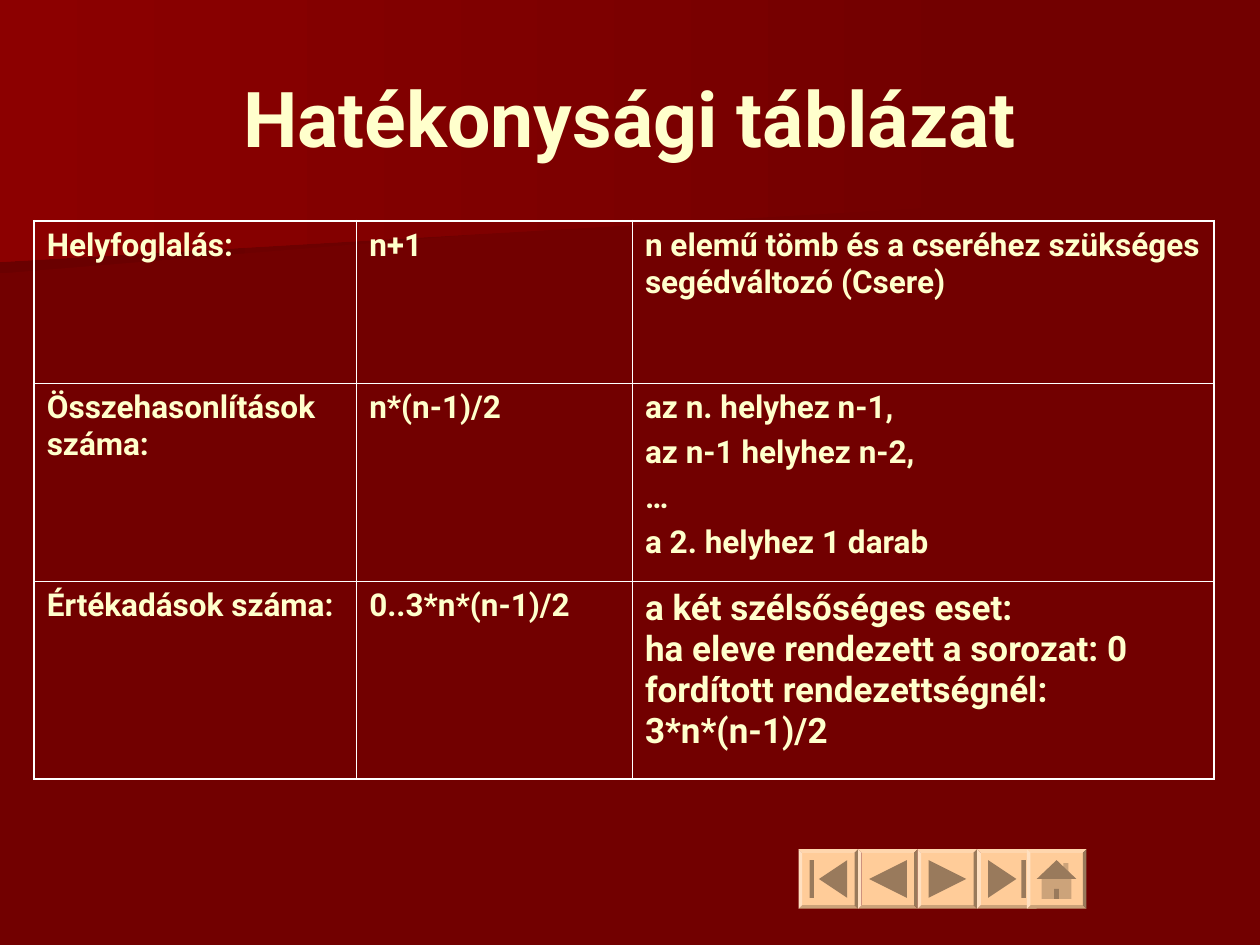
import pptx
import pptx.util
import pptx.dml.color
import pptx.enum.shapes
import pptx.enum.text
import pptx.oxml
import pptx.oxml.ns

Cm = pptx.util.Cm
Pt = pptx.util.Pt

HUES = {
    "back": "720000", "deep": "6A0000", "glow": "8C0000", "text": "FFFFCC",
    "rule": "FFFFFF", "key": "FFCC99", "sign": "997A5C", "wall": "CCA37A",
}
TITLE = {"name": "Roboto", "size": Pt(44), "bold": True}
BODY = {"name": "Roboto", "size": Pt(18), "bold": True}
LARGE = BODY | {"size": Pt(20)}

COLS = [6.5, 5.56, 11.73]
ROWS = [3.28, 3.99, 3.99]
CELLS = [
    ["Helyfoglalás:", "n+1",
     "n elemű tömb és a cseréhez szükséges segédváltozó (Csere)"],
    ["Összehasonlítások száma:", "n*(n-1)/2",
     "az n. helyhez n-1,\naz n-1 helyhez n-2,\n…\na 2. helyhez 1 darab"],
    ["Értékadások száma:", "0..3*n*(n-1)/2",
     "a két szélsőséges eset:\vha eleve rendezett a sorozat: 0\v"
     "fordított rendezettségnél:\v3*n*(n-1)/2"],
]
THICK, THIN = 1.08, 0.45
KEY = 1.2


def hue(name):
    return pptx.dml.color.RGBColor.from_string(HUES[name])


def box(left, top, right, low):
    return [(left, top), (right, top), (right, low), (left, low)]


def flip(paths):
    """Mirror a button sign from left to right."""
    return [[(KEY - x, y) for x, y in path] for path in paths]


class Deck:
    def __init__(self):
        self.prs = pptx.Presentation()
        self.prs.slide_width, self.prs.slide_height = Cm(25.4), Cm(19.05)
        self.slide = self.prs.slides.add_slide(self.prs.slide_layouts[5])
        self.shapes = self.slide.shapes
        fill = self.slide.background.fill
        fill.solid()
        fill.fore_color.rgb = hue("back")

    def font(self, font, style):
        for name, value in style.items():
            setattr(font, name, value)
        font.color.rgb = hue("text")

    def paint(self, shape, *names):
        """Fill with one colour, or with a gradient between two."""
        shape.shadow.inherit = False
        shape.line.fill.background()
        if len(names) == 1:
            shape.fill.solid()
            shape.fill.fore_color.rgb = hue(names[0])
            return
        shape.fill.gradient()
        shape.fill.gradient_angle = 180
        for stop, name, pos in zip(shape.fill.gradient_stops, names, (0, 1)):
            stop.color.rgb = hue(name)
            stop.position = pos

    def poly(self, paths, *names, left=0, top=0):
        spots = [[(Cm(left + x), Cm(top + y)) for x, y in path] for path in paths]
        form = self.shapes.build_freeform(*spots[0][0])
        for i, path in enumerate(spots):
            if i:
                form.move_to(*path[0])
            form.add_line_segments(path[1:], close=True)
        self.paint(form.convert_to_shape(), *names)

    def title(self, text, left, top, width, height):
        shape = self.shapes.title
        spot = {"left": left, "top": top, "width": width, "height": height}
        for name, value in spot.items():
            setattr(shape, name, Cm(value))
        frame = shape.text_frame
        frame.text = text
        frame.word_wrap = True
        frame.auto_size = pptx.enum.text.MSO_AUTO_SIZE.NONE
        frame.vertical_anchor = pptx.enum.text.MSO_ANCHOR.MIDDLE
        para = frame.paragraphs[0]
        para.alignment = pptx.enum.text.PP_ALIGN.CENTER
        self.font(para.font, TITLE)
        # Bring the title in front of the backdrop.
        self.shapes.element.append(shape.element)

    def edge(self, cell, sides):
        props = cell._tc.get_or_add_tcPr()
        for i, (side, width) in enumerate(sides.items()):
            props.insert(i, pptx.oxml.parse_xml(
                f'<a:ln{side} {pptx.oxml.ns.nsdecls("a")} w="{Pt(width)}">'
                f'<a:solidFill><a:srgbClr val="{HUES["rule"]}"/></a:solidFill>'
                f'</a:ln{side}>'))

    def table(self, left, top):
        rows, cols = len(ROWS), len(COLS)
        grid = self.shapes.add_table(rows, cols, Cm(left), Cm(top),
                                     Cm(sum(COLS)), Cm(sum(ROWS))).table
        grid.first_row = grid.horz_banding = False
        for col, width in zip(grid.columns, COLS):
            col.width = Cm(width)
        for r, height in enumerate(ROWS):
            grid.rows[r].height = Cm(height)
            for c, text in enumerate(CELLS[r]):
                cell = grid.cell(r, c)
                cell.fill.background()
                cell.text = text
                last = r == rows - 1 and c == cols - 1
                for i, para in enumerate(cell.text_frame.paragraphs):
                    if i:
                        para.space_before = Pt(4.5)
                    for run in para.runs:
                        self.font(run.font, LARGE if last else BODY)
                self.edge(cell, {
                    "L": THIN if c else THICK,
                    "R": THICK if c == cols - 1 else THIN,
                    "T": THIN if r else THICK,
                    "B": THICK if r == rows - 1 else THIN,
                })

    def key(self, left, top, signs):
        """Draw a raised button with its sign."""
        shape = self.shapes.add_shape(pptx.enum.shapes.MSO_SHAPE.BEVEL,
                                      Cm(left), Cm(top), Cm(KEY), Cm(KEY))
        shape.adjustments[0] = 0.06
        self.paint(shape, "key")
        for paths, name in signs:
            self.poly(paths, name, left=left, top=top)


def main():
    deck = Deck()
    deck.poly([[(19.76, 3.89), (0, 5.51), (0, 2.57), (19.79, 2.57), (19.79, 3.25)]],
              "back", "deep")
    deck.poly([[(20.12, 4.11), (0, 5.28), (0, 0), (20.12, 0)]], "back", "glow")

    prev = [[(0.22, 0.6), (0.98, 0.22), (0.98, 0.98)]]
    first = [[(0.41, 0.6), (0.98, 0.22), (0.98, 0.98)], box(0.22, 0.22, 0.31, 0.98)]
    home = [
        ([box(0.74, 0.28, 0.84, 0.5), box(0.3, 0.6, 0.9, 1)], "wall"),
        ([[(0.6, 0.22), (1, 0.6), (0.2, 0.6)], box(0.55, 0.8, 0.65, 1)], "sign"),
    ]
    for i, paths in enumerate([first, prev, flip(prev), flip(first)]):
        deck.key(16.1 + i * KEY, 17.12, [(paths, "sign")])
    deck.key(20.7, 17.12, home)

    deck.title("Hatékonysági táblázat", 1.27, 0.76, 22.86, 3.18)
    deck.table(0.69, 4.45)
    deck.prs.save("out.pptx")


if __name__ == "__main__":
    main()
